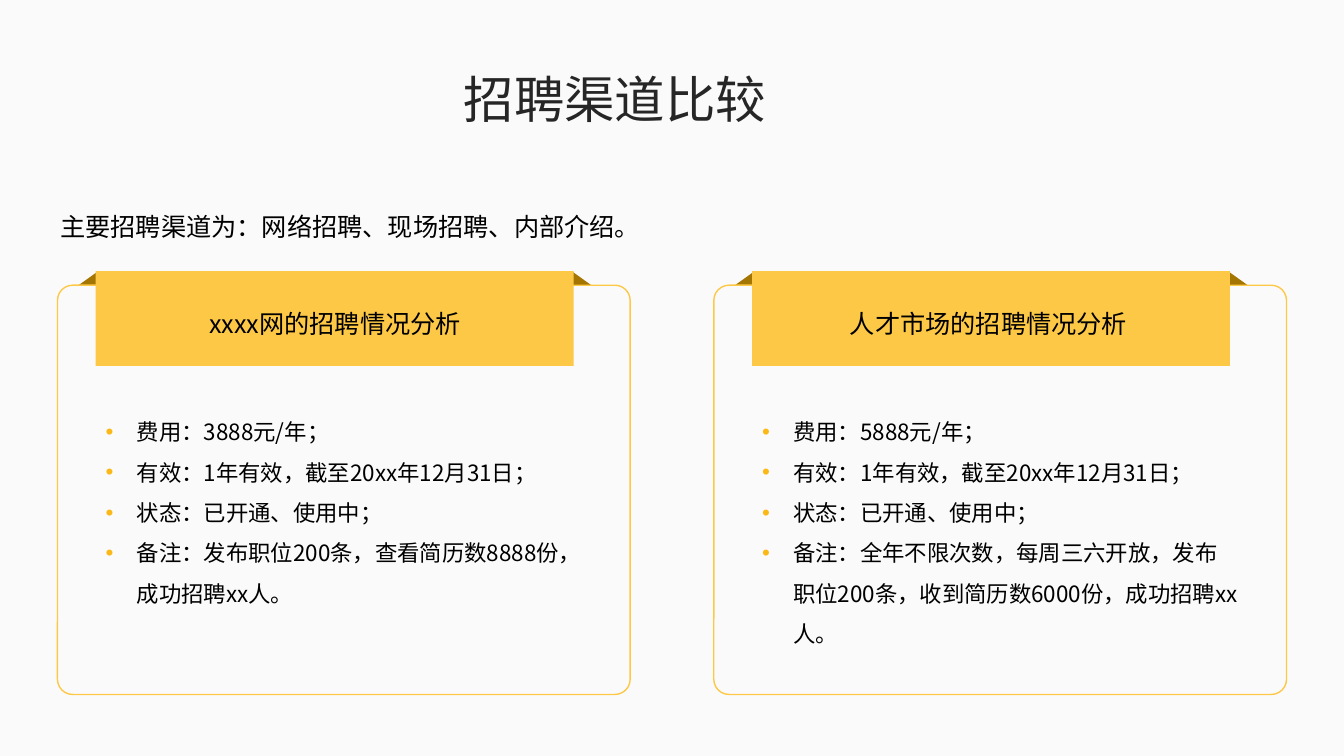
from lxml.etree import SubElement
from pptx import Presentation
from pptx.dml.color import RGBColor
from pptx.enum.shapes import MSO_SHAPE as Shape
from pptx.enum.text import MSO_AUTO_SIZE as AutoSize, PP_ALIGN as Align
from pptx.oxml.ns import qn
from pptx.util import Inches, Pt


def rgb(value):
    return RGBColor.from_string(value)


class SlideBuilder:
    """Style and current slide; lengths are columns and rows of a 0.1 inch grid."""
    cell = Inches(0.1)
    font = "Noto Sans CJK SC"
    paper, gold, fold, bullet = "FBFAFB", "FCC846", "A57502", "FBB817"
    title_ink, ink = "262626", "000000"

    def __init__(self, presentation):
        self.slide = presentation.slides.add_slide(presentation.slide_layouts[6])
        self.slide.background.fill.solid()
        self.slide.background.fill.fore_color.rgb = rgb(self.paper)

    def grid(self, *lengths):
        return [round(length * self.cell) for length in lengths]

    def block(self, kind, box, fill, line=None):
        shape = self.slide.shapes.add_shape(kind, *self.grid(*box))
        shape.shadow.inherit = False
        shape.fill.solid()
        shape.fill.fore_color.rgb = rgb(fill)
        if line:
            shape.line.color.rgb = rgb(line)
            shape.line.width = Pt(1)
        else:
            shape.line.fill.background()
        return shape

    def text(self, box, lines, size, color=ink, align=None, bulleted=False):
        frame = self.slide.shapes.add_textbox(*self.grid(*box)).text_frame
        frame.word_wrap = True
        frame.auto_size = AutoSize.SHAPE_TO_FIT_TEXT
        frame.text = "\n".join(lines)
        for paragraph in frame.paragraphs:
            paragraph.alignment = align
            if bulleted:
                paragraph.line_spacing = 1.5
                self.add_bullet(paragraph)
            paragraph.font.size = Pt(size)
            paragraph.font.color.rgb = rgb(color)
            paragraph.font.name = self.font
            properties = paragraph._p.pPr.find(qn("a:defRPr"))
            SubElement(properties, qn("a:ea"), typeface=self.font)

    def add_bullet(self, paragraph):
        properties = paragraph._p.get_or_add_pPr()
        indent = Inches(0.31)
        properties.set("marL", str(indent))
        properties.set("indent", str(-indent))
        color = SubElement(properties, qn("a:buClr"))
        SubElement(color, qn("a:srgbClr"), val=self.bullet)
        SubElement(properties, qn("a:buFont"), typeface="Arial")
        SubElement(properties, qn("a:buChar"), char="•")

    def card(self, left, heading, heading_width, lines, lines_height):
        # Ribbon folds behind the band
        for offset, flipped in ((1.95, True), (51, False)):
            triangle = self.block(Shape.RIGHT_TRIANGLE,
                                  (left + offset, 26.9, 2.1, 1.5), self.fold)
            if flipped:
                triangle._element.spPr.find(qn("a:xfrm")).set("flipH", "1")
        # Outlined panel and gold band
        panel = self.block(Shape.ROUNDED_RECTANGLE,
                           (left, 28.3, 56.8, 40.6), self.paper, self.gold)
        panel.adjustments[0] = 0.037
        self.block(Shape.RECTANGLE, (left + 3.8, 26.9, 47.4, 9.4), self.gold)
        # Heading, centred on the panel, and details
        heading_left = left + (56.8 - heading_width) / 2
        self.text((heading_left, 30.1, heading_width, 4), [heading], 18,
                  align=Align.JUSTIFY)
        self.text((left + 3.8, 39.7, 49.3, lines_height), lines, 16, bulleted=True)


def main():
    presentation = Presentation()
    presentation.slide_width = Inches(13.33)
    presentation.slide_height = Inches(7.5)
    builder = SlideBuilder(presentation)

    # Title and introduction
    builder.text((45, 6.3, 43.3, 7.1), ["招聘渠道比较"], 36, builder.title_ink,
                 Align.JUSTIFY)
    builder.text((5, 20.5, 64, 4), ["主要招聘渠道为：网络招聘、现场招聘、内部介绍。"], 18)

    # One card per recruiting channel
    validity = "有效：1年有效，截至20xx年12月31日；"
    status = "状态：已开通、使用中；"
    builder.card(5.7, "xxxx网的招聘情况分析", 28.7, [
        "费用：3888元/年；", validity, status,
        "备注：发布职位200条，查看简历数8888份，成功招聘xx人。"], 21.2)
    builder.card(70.8, "人才市场的招聘情况分析", 31.8, [
        "费用：5888元/年；", validity, status,
        "备注：全年不限次数，每周三六开放，发布职位200条，收到简历数6000份，成功招聘xx人。"], 25.2)

    presentation.save("out.pptx")


if __name__ == "__main__":
    main()
